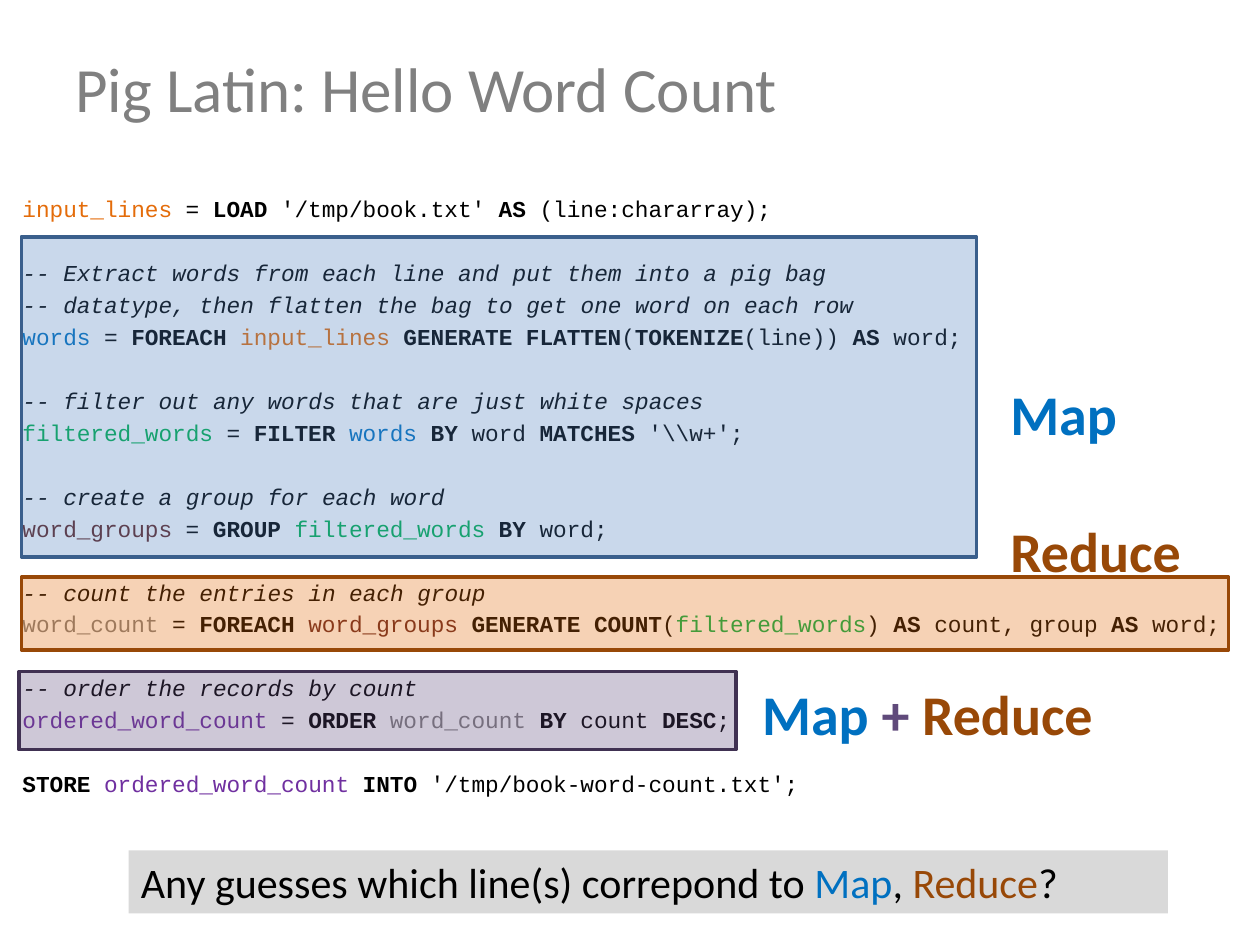
import itertools

import lxml.etree
import pptx
import pptx.dml.color
import pptx.enum.shapes
import pptx.enum.text
import pptx.oxml.ns
import pptx.util

Inches = pptx.util.Inches
Pt = pptx.util.Pt

THEME = {
    "body": "Calibri", "mono": "Courier New",
    "title_size": 36, "code_size": 13, "label_size": 32, "ask_size": 24,
    "text": "000000", "title": "808080", "map": "0070C0", "reduce": "984807",
    "plus": "604A7B", "ask_fill": "D9D9D9",
    "line_gap": 2.6, "block_gap": 20.9, "alpha": 30, "border": 2,
}

NAMES = {
    "input_lines": "E46C0A", "words": "0070C0", "filtered_words": "00B050",
    "word_groups": "632523", "word_count": "808080",
    "ordered_word_count": "7030A0",
}

TITLE = "Pig Latin: Hello Word Count"

CODE = [
    ["input_lines = LOAD '/tmp/book.txt' AS (line:chararray);"],
    ["-- Extract words from each line and put them into a pig bag",
     "-- datatype, then flatten the bag to get one word on each row",
     "words = FOREACH input_lines GENERATE FLATTEN(TOKENIZE(line)) AS word;"],
    ["-- filter out any words that are just white spaces",
     r"filtered_words = FILTER words BY word MATCHES '\\w+';"],
    ["-- create a group for each word",
     "word_groups = GROUP filtered_words BY word;"],
    ["-- count the entries in each group",
     "word_count = FOREACH word_groups GENERATE COUNT(filtered_words)"
     " AS count, group AS word;"],
    ["-- order the records by count",
     "ordered_word_count = ORDER word_count BY count DESC;"],
    ["STORE ordered_word_count INTO '/tmp/book-word-count.txt';"],
]

# place, fill, border
STAGES = [
    ((0.17, 1.88, 7.58, 2.54), "4F81BD", "3A5F8C"),
    ((0.17, 4.58, 9.58, 0.58), "E46C0A", "984807"),
    ((0.15, 5.33, 5.69, 0.62), "604A7B", "403152"),
]

# place, (text, colour) runs
LABELS = [
    ((7.92, 2.96, 1.5, 0.64), [("Map", "map")]),
    ((7.92, 4.05, 1.67, 0.64), [("Reduce", "reduce")]),
    ((5.95, 5.34, 3.3, 0.64),
     [("Map ", "map"), ("+ ", "plus"), ("Reduce", "reduce")]),
]

ASK = [("Any guesses which line(s) correpond to ", "text"), ("Map", "map"),
       (", ", "text"), ("Reduce", "reduce"), ("?", "text")]


def rgb(code):
    return pptx.dml.color.RGBColor.from_string(code)


def add_run(para, text, color, bold=None):
    run = para.add_run()
    run.text = text
    run.font.color.rgb = rgb(color)
    if bold is not None:
        run.font.bold = bold


def set_font(para, face, size, bold=None, italic=None):
    font = para.font
    font.name, font.size = face, Pt(size)
    font.bold, font.italic = bold, italic


def add_box(slide, place):
    box = slide.shapes.add_textbox(*map(Inches, place))
    box.text_frame.word_wrap = True
    return box


def add_rect(slide, place, fill):
    rect = slide.shapes.add_shape(
        pptx.enum.shapes.MSO_SHAPE.RECTANGLE, *map(Inches, place))
    rect.shadow.inherit = False
    rect.fill.solid()
    rect.fill.fore_color.rgb = rgb(fill)
    return rect


def fill_runs(frame, runs, size, bold=None):
    para = frame.paragraphs[0]
    para.alignment = pptx.enum.text.PP_ALIGN.LEFT
    set_font(para, THEME["body"], size, bold)
    for text, color in runs:
        add_run(para, text, THEME[color])


def style_of(word):
    """Return the colour of a word and whether it is a keyword."""
    return NAMES.get(word, THEME["text"]), word.isupper()


def add_line(para, line):
    """Write one line of code, coloured by its names and keywords."""
    note = line.startswith("--")
    set_font(para, THEME["mono"], THEME["code_size"], italic=note)
    if note:
        add_run(para, line, THEME["text"])
        return
    chunks = itertools.groupby(line, lambda c: c.isalpha() or c == "_")
    words = ["".join(chars) for _, chars in chunks]
    for (color, bold), group in itertools.groupby(words, style_of):
        add_run(para, "".join(group), color, bold)


def add_code(slide):
    frame = add_box(slide, (0.08, 1.5, 9.83, 5.33)).text_frame
    para = frame.paragraphs[0]
    for b, block in enumerate(CODE):
        for n, line in enumerate(block):
            if b or n:
                para = frame.add_paragraph()
                gap = "line_gap" if n else "block_gap"
                para.space_before = Pt(THEME[gap])
            add_line(para, line)


def add_stage(slide, place, fill, border):
    rect = add_rect(slide, place, fill)
    rect.line.color.rgb = rgb(border)
    rect.line.width = Pt(THEME["border"])
    qn = pptx.oxml.ns.qn
    tint = rect.fill._xPr.find(qn("a:solidFill"))[0]
    lxml.etree.SubElement(tint, qn("a:alpha"), val=str(THEME["alpha"] * 1000))


def main():
    deck = pptx.Presentation()
    deck.slide_width, deck.slide_height = Inches(10), Inches(7.5)
    slide = deck.slides.add_slide(deck.slide_layouts[6])

    middle = pptx.enum.text.MSO_ANCHOR.MIDDLE
    title = add_box(slide, (0.5, 0.3, 9, 0.78)).text_frame
    title.vertical_anchor = middle
    fill_runs(title, [(TITLE, "title")], THEME["title_size"])

    add_code(slide)
    for stage in STAGES:
        add_stage(slide, *stage)
    for place, runs in LABELS:
        frame = add_box(slide, place).text_frame
        fill_runs(frame, runs, THEME["label_size"], True)

    ask = add_rect(slide, (1.02, 6.75, 8.25, 0.5), THEME["ask_fill"])
    ask.line.fill.background()
    ask.text_frame.vertical_anchor = middle
    fill_runs(ask.text_frame, ASK, THEME["ask_size"])

    deck.save("out.pptx")


if __name__ == "__main__":
    main()
